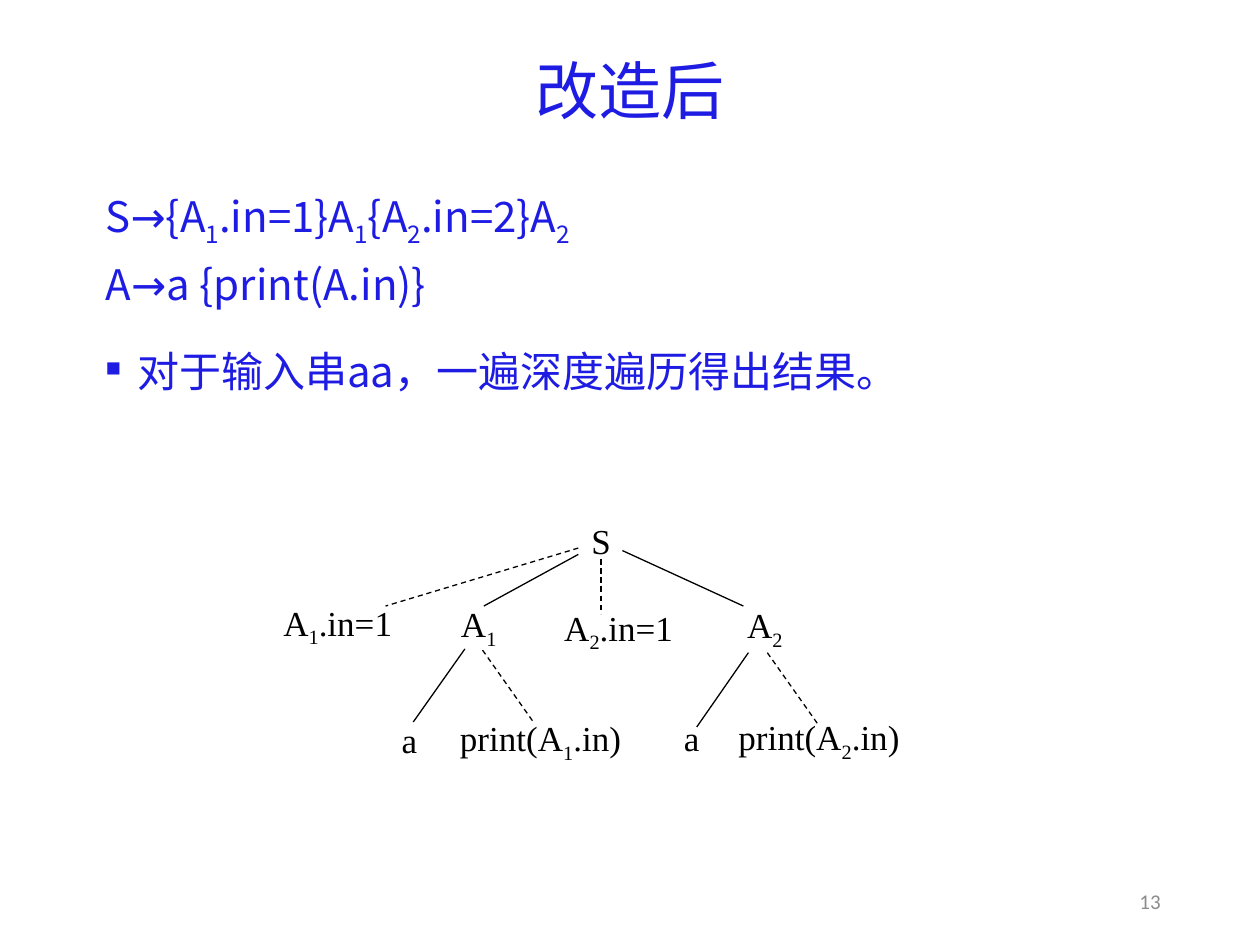
"""Build the slide showing the rewritten translation scheme and its parse tree."""
from lxml import etree
from pptx import Presentation
from pptx import util as u
from pptx.dml.color import RGBColor
from pptx.enum import dml, shapes, text
from pptx.oxml.ns import qn

COLORS = {"blue": "1E1CE3", "black": "000000", "grey": "8C8C8C"}
CJK, SYMBOL, SERIF = "Noto Sans CJK SC", "Comic Neue", "Times New Roman"

TITLE = "改造后"
PAGE_NUMBER = "13"
# text with "_" before each subscript digit, space before, space after, bullet
BODY = [
    ("S→{A_1.in=1}A_1{A_2.in=2}A_2", 0, 6, False),
    ("A→a {print(A.in)}", 6, 18, False),
    ("对于输入串aa，一遍深度遍历得出结果。", 6, 6, True),
]
# label, centre x, centre y, width
NODES = [
    ("S", 4.77, 4.29, 0.36),
    ("A_1.in=1", 2.68, 4.96, 1.38),
    ("A_1", 3.8, 4.97, 0.5),
    ("A_2.in=1", 4.91, 5.0, 1.27),
    ("A_2", 6.07, 4.98, 0.5),
    ("a", 3.25, 5.87, 0.33),
    ("print(A_1.in)", 4.29, 5.88, 1.5),
    ("a", 5.49, 5.85, 0.33),
    ("print(A_2.in)", 6.5, 5.87, 1.5),
]
NODE_HEIGHT = 0.44
SOLID_EDGES = [
    (4.59, 4.4, 3.84, 4.81), (4.94, 4.37, 5.9, 4.81),
    (3.69, 5.15, 3.28, 5.73), (5.94, 5.18, 5.53, 5.77),
]
DASHED_EDGES = [
    (4.59, 4.35, 3.06, 4.81), (4.77, 4.44, 4.77, 4.87),
    (3.83, 5.16, 4.24, 5.74), (6.09, 5.18, 6.5, 5.76),
]


def add_box(page, left, top, width, height, anchor=text.MSO_ANCHOR.MIDDLE, wrap=True):
    box = page.shapes.add_textbox(*map(u.Inches, (left, top, width, height)))
    box.text_frame.word_wrap = wrap
    box.text_frame.vertical_anchor = anchor
    return box.text_frame


def add_span(para, words, size, font, color, subscript=False):
    span = para.add_run()
    span.text = words
    span.font.size = u.Pt(size)
    span.font.name = font
    span.font.color.rgb = RGBColor.from_string(COLORS[color])
    properties = span._r.get_or_add_rPr()
    etree.SubElement(properties, qn("a:ea"), typeface=font)
    if subscript:
        properties.set("baseline", "-25000")


def write(para, marked, size, font, color, align=text.PP_ALIGN.LEFT):
    para.alignment = align
    for index, part in enumerate(marked.split("_")):
        if index:
            add_span(para, part[0], size, font, color, subscript=True)
            part = part[1:]
        before, arrow, after = part.partition("→")
        for words, face in ((before, font), (arrow, SYMBOL), (after, font)):
            if words:
                add_span(para, words, size, face, color)


def add_bullet(para):
    properties = para._p.get_or_add_pPr()
    etree.SubElement(properties, qn("a:buSzPct"), val="50000")
    etree.SubElement(properties, qn("a:buChar"), char="■")


def add_body(page):
    frame = add_box(page, 0.74, 1.47, 8.62, 2.04, text.MSO_ANCHOR.TOP)
    for index, (marked, before, after, bulleted) in enumerate(BODY):
        para = frame.add_paragraph() if index else frame.paragraphs[0]
        para.line_spacing = 0.9
        para.space_before, para.space_after = u.Pt(before), u.Pt(after)
        indent = u.Inches(0.25)
        properties = para._p.get_or_add_pPr()
        properties.set("marL", str(indent))
        properties.set("indent", str(-indent))
        if bulleted:
            add_bullet(para)
        write(para, marked, 24, CJK, "blue")


def add_edge(page, ends, dashed):
    edge = page.shapes.add_connector(shapes.MSO_CONNECTOR.STRAIGHT, *map(u.Inches, ends))
    edge.line.width = u.Pt(0.75)
    edge.line.color.rgb = RGBColor.from_string(COLORS["black"])
    if dashed:
        edge.line.dash_style = dml.MSO_LINE.DASH
    etree.SubElement(edge._element.spPr, qn("a:effectLst"))


def add_tree(page):
    for edges, dashed in ((SOLID_EDGES, False), (DASHED_EDGES, True)):
        for ends in edges:
            add_edge(page, ends, dashed)
    for label, x, y, width in NODES:
        frame = add_box(page, x - width / 2, y - NODE_HEIGHT / 2, width, NODE_HEIGHT, wrap=False)
        write(frame.paragraphs[0], label, 20, SERIF, "black", text.PP_ALIGN.CENTER)


def main():
    deck = Presentation()
    deck.slide_width, deck.slide_height = u.Inches(10), u.Inches(7.5)
    page = deck.slides.add_slide(deck.slide_layouts[6])
    title = add_box(page, 0.69, 0.4, 8.62, 0.7).paragraphs[0]
    title.line_spacing = 0.9
    write(title, TITLE, 36, "Noto Sans CJK JP", "blue", text.PP_ALIGN.CENTER)
    add_body(page)
    add_tree(page)
    number = add_box(page, 7.06, 6.95, 2.25, 0.4).paragraphs[0]
    write(number, PAGE_NUMBER, 12, "Calibri", "grey", text.PP_ALIGN.RIGHT)
    deck.save("out.pptx")


if __name__ == "__main__":
    main()
